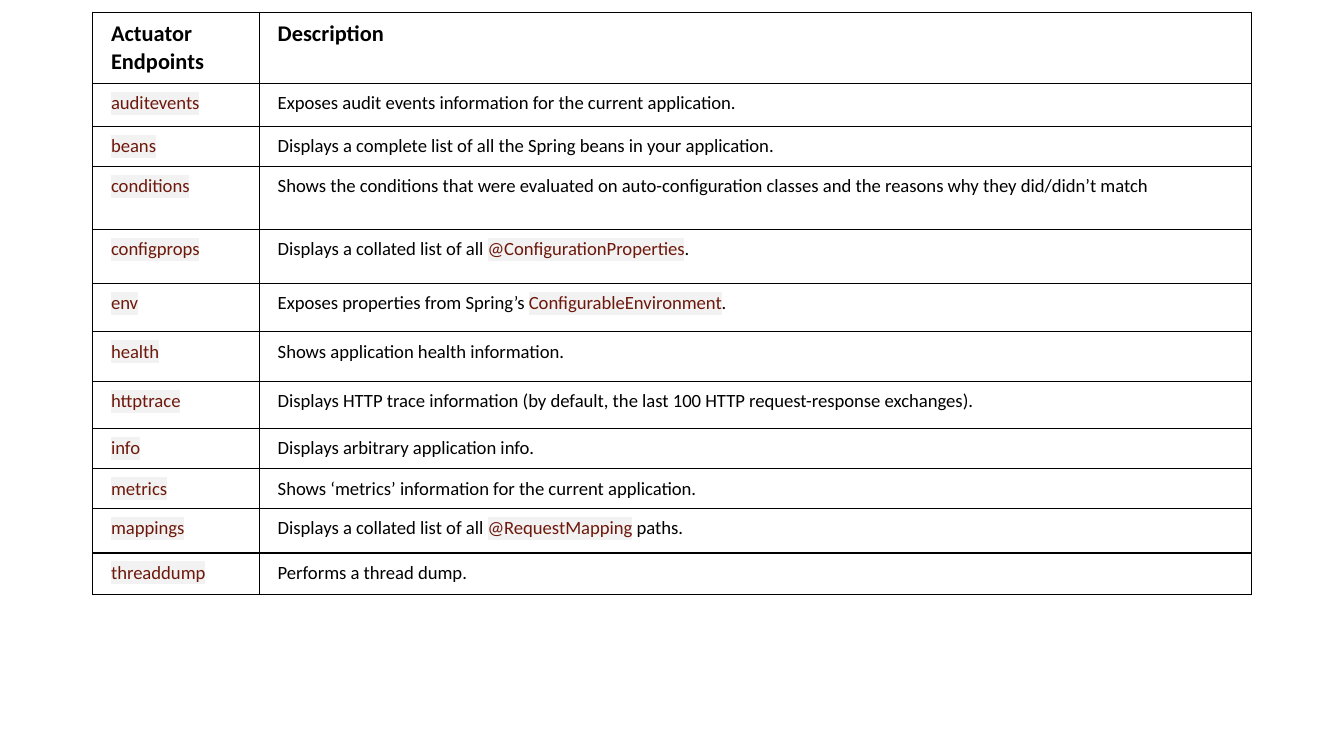
from dataclasses import dataclass

from lxml.etree import SubElement
from pptx import Presentation
from pptx.dml.color import RGBColor
from pptx.oxml import parse_xml
from pptx.oxml.ns import nsdecls, qn
from pptx.util import Cm, Pt


@dataclass(frozen=True)
class Theme:
    font: str = "Calibri"
    ink: str = "000000"
    paper: str = "FFFFFF"
    code_ink: str = "6D180B"
    code_paper: str = "F2F2F2"
    head_size: float = 12
    body_size: float = 10
    space_after: float = 11
    rule: float = 0.75


THEME = Theme()
CELL_MARGINS = {
    "margin_left": Cm(0.35),
    "margin_right": Cm(0.35),
    "margin_top": Cm(0.16),
    "margin_bottom": Cm(0.16),
}
COLUMN_WIDTHS = (3.15, 18.75)
HEADER = ("Actuator Endpoints", "Description")
HEADER_HEIGHT = 0.86

# Row height in cm, endpoint, description; backticks enclose code.
ENDPOINTS = (
    (0.81, "auditevents", "Exposes audit events information for the current application."),
    (0.76, "beans", "Displays a complete list of all the Spring beans in your application."),
    (1.19, "conditions", "Shows the conditions that were evaluated on auto-configuration "
                         "classes and the reasons why they did/didn’t match"),
    (1.02, "configprops", "Displays a collated list of all `@ConfigurationProperties`."),
    (0.91, "env", "Exposes properties from Spring’s `ConfigurableEnvironment`."),
    (0.94, "health", "Shows application health information."),
    (0.89, "httptrace", "Displays HTTP trace information (by default, the last 100 HTTP "
                        "request-response exchanges)."),
    (0.76, "info", "Displays arbitrary application info."),
    (0.74, "metrics", "Shows ‘metrics’ information for the current application."),
    (0.84, "mappings", "Displays a collated list of all `@RequestMapping` paths."),
    (0.79, "threaddump", "Performs a thread dump."),
)


def set_values(target, values):
    for name, value in values.items():
        setattr(target, name, value)


def add_span(para, text, size, bold=False, code=False):
    span = para.add_run()
    span.text = text
    set_values(span.font, {"name": THEME.font, "size": Pt(size), "bold": bold})
    ink, paper = (
        (THEME.code_ink, THEME.code_paper) if code else (THEME.ink, THEME.paper)
    )
    span.font.color.rgb = RGBColor.from_string(ink)
    highlight = parse_xml(
        f'<a:highlight {nsdecls("a")}><a:srgbClr val="{paper}"/></a:highlight>'
    )
    span.font.fill  # the highlight has to follow the fill in the run properties
    properties = span._r.get_or_add_rPr()
    properties.find(qn("a:solidFill")).addnext(highlight)


def add_borders(cell):
    properties = cell._tc.get_or_add_tcPr()
    for position, side in enumerate(("lnL", "lnR", "lnT", "lnB")):
        line = parse_xml(f'<a:{side} {nsdecls("a")} w="{Pt(THEME.rule)}"/>')
        fill = SubElement(line, qn("a:solidFill"))
        SubElement(fill, qn("a:srgbClr"), val=THEME.ink)
        properties.insert(position, line)


def format_cell(cell):
    set_values(cell, CELL_MARGINS)
    cell.fill.solid()
    cell.fill.fore_color.rgb = RGBColor.from_string(THEME.paper)
    add_borders(cell)


def fill_header(cell, text):
    format_cell(cell)
    add_span(cell.text_frame.paragraphs[0], text, THEME.head_size, bold=True)


def fill_body(cell, text):
    """Write text in which backticks enclose code."""
    format_cell(cell)
    para = cell.text_frame.paragraphs[0]
    para.space_after = Pt(THEME.space_after)
    for index, part in enumerate(text.split("`")):
        if part:
            add_span(para, part, THEME.body_size, code=index % 2 == 1)


def add_endpoint_table(page):
    heights = [HEADER_HEIGHT] + [height for height, _, _ in ENDPOINTS]
    frame = page.shapes.add_table(
        len(heights), len(COLUMN_WIDTHS),
        Cm(1.75), Cm(0.23), Cm(sum(COLUMN_WIDTHS)), Cm(sum(heights)),
    )
    table = frame.table
    set_values(table, {"first_row": False, "horz_banding": False})
    for column, width in zip(table.columns, COLUMN_WIDTHS):
        column.width = Cm(width)
    for row, height in zip(table.rows, heights):
        row.height = Cm(height)
    for column, text in enumerate(HEADER):
        fill_header(table.cell(0, column), text)
    for row, (_, endpoint, description) in enumerate(ENDPOINTS, start=1):
        fill_body(table.cell(row, 0), f"`{endpoint}`")
        fill_body(table.cell(row, 1), description)


def main():
    deck = Presentation()
    set_values(deck, {"slide_width": Cm(25.4), "slide_height": Cm(14.29)})
    page = deck.slides.add_slide(deck.slide_layouts[6])
    add_endpoint_table(page)
    deck.save("out.pptx")


if __name__ == "__main__":
    main()
